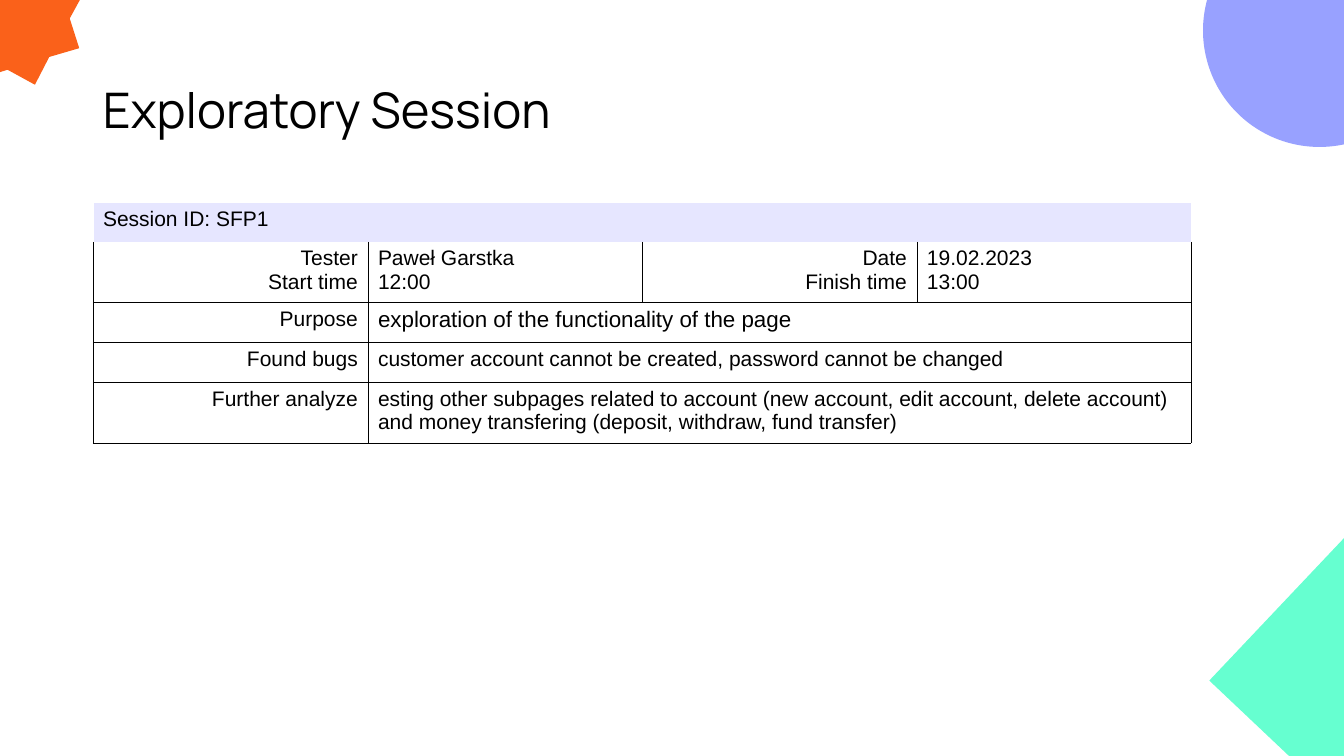
from math import cos, radians, sin

from lxml.etree import SubElement
from pptx import Presentation
from pptx.dml.color import RGBColor
from pptx.enum.shapes import MSO_SHAPE
from pptx.enum.text import MSO_ANCHOR, PP_ALIGN
from pptx.oxml.ns import qn
from pptx.util import Emu, Pt

WIDTH, HEIGHT = 1344, 756
EMU_PER_PX = 12192000 / WIDTH
COLORS = {
    "ink": "000000",
    "paper": "FFFFFF",
    "header": "E6E6FF",
    "circle": "98A1FF",
    "diamond": "66FFD0",
    "star": "FA611A",
}
HAIRLINE = 762  # EMU


def px(length):
    return Emu(round(length * EMU_PER_PX))


class SlideBuilder:
    title_font = "Manrope"
    body_font = "Arial"

    def __init__(self, slide):
        self.slide = slide
        self.shapes = slide.shapes

    def paint(self, shape, color):
        shape.shadow.inherit = False
        shape.fill.solid()
        shape.fill.fore_color.rgb = RGBColor.from_string(COLORS[color])
        shape.line.fill.background()

    def preset(self, kind, left, top, width, height, color, rotation=0):
        shape = self.shapes.add_shape(kind, px(left), px(top), px(width), px(height))
        shape.rotation = rotation
        self.paint(shape, color)

    def star(self, center, outer, inner, tips, first_angle, color):
        """Draw a star whose first tip lies at first_angle, clockwise from the right."""
        points = []
        for i in range(2 * tips):
            angle = radians(first_angle + i * 180 / tips)
            radius = inner if i % 2 else outer
            points.append((px(center + radius * cos(angle)), px(center + radius * sin(angle))))
        builder = self.shapes.build_freeform(*points[0])
        builder.add_line_segments(points[1:], close=True)
        self.paint(builder.convert_to_shape(), color)

    def format_text(self, frame, font, size, align=PP_ALIGN.LEFT, spacing=None):
        for paragraph in frame.paragraphs:
            paragraph.alignment = align
            paragraph.line_spacing = spacing
            for run in paragraph.runs:
                run.font.name = font
                run.font.size = Pt(size)
                run.font.color.rgb = RGBColor.from_string(COLORS["ink"])

    def title(self, wording, left, top, width, height, size):
        frame = self.shapes.add_textbox(px(left), px(top), px(width), px(height)).text_frame
        frame.word_wrap = True
        frame.vertical_anchor = MSO_ANCHOR.MIDDLE
        frame.text = wording
        self.format_text(frame, self.title_font, size, spacing=0.9)

    def border(self, cell, side, color):
        line = SubElement(cell._tc.get_or_add_tcPr(), qn(f"a:ln{side}"), w=str(HAIRLINE))
        fill = SubElement(line, qn("a:solidFill"))
        SubElement(fill, qn("a:srgbClr"), val=COLORS[color])

    def table(self, left, top, column_widths, row_heights):
        table = self.shapes.add_table(
            len(row_heights), len(column_widths), px(left), px(top),
            px(sum(column_widths)), px(sum(row_heights))).table
        table.first_row = table.horz_banding = False
        for column, width in zip(table.columns, column_widths):
            column.width = px(width)
        for row, height in zip(table.rows, row_heights):
            row.height = px(height)
        for r, row in enumerate(table.rows):
            for cell in row.cells:
                for side in "LRTB":
                    in_header = r == 0 or (r == 1 and side == "T")
                    self.border(cell, side, "paper" if in_header else "ink")
                cell.fill.background()
        return table

    def fill_row(self, table, row, wordings, size=15):
        """Write labels and values in turn; the last one spans the remaining columns."""
        last = len(wordings) - 1
        for column, wording in enumerate(wordings):
            cell = table.cell(row, column)
            if column == last and last < len(table.columns) - 1:
                cell.merge(table.cell(row, len(table.columns) - 1))
            cell.text_frame.text = wording
            is_label = column % 2 == 0 and last > 0
            self.format_text(cell.text_frame, self.body_font,
                             size if not is_label else 15,
                             PP_ALIGN.RIGHT if is_label else PP_ALIGN.LEFT)


def main():
    presentation = Presentation()
    presentation.slide_width, presentation.slide_height = px(WIDTH), px(HEIGHT)
    page = SlideBuilder(presentation.slides.add_slide(presentation.slide_layouts[6]))

    page.preset(MSO_SHAPE.OVAL, 1203, -86, 233, 233, "circle")
    page.preset(MSO_SHAPE.RECTANGLE, 1247, 496, 391, 272, "diamond", rotation=313.4)
    page.star(center=13, outer=75, inner=57, tips=8, first_angle=28, color="star")
    page.title("Exploratory Session", 93, 40, 1098, 146, size=35)

    session = page.table(93, 202, [275, 274, 275, 274], [40, 57, 40, 40, 57])
    page.fill_row(session, 0, ["Session ID: SFP1"])
    header = session.cell(0, 0)
    header.fill.solid()
    header.fill.fore_color.rgb = RGBColor.from_string(COLORS["header"])
    page.fill_row(session, 1, ["Tester\nStart time", "Paweł Garstka\n12:00",
                               "Date\nFinish time", "19.02.2023\n13:00"])
    page.fill_row(session, 2, ["Purpose", "exploration of the functionality of the page"], size=16)
    page.fill_row(session, 3, [
        "Found bugs", "customer account cannot be created, password cannot be changed"])
    page.fill_row(session, 4, [
        "Further analyze",
        "esting other subpages related to account (new account, edit account, delete account) "
        "and money transfering (deposit, withdraw, fund transfer)"])

    presentation.save("out.pptx")


if __name__ == "__main__":
    main()
